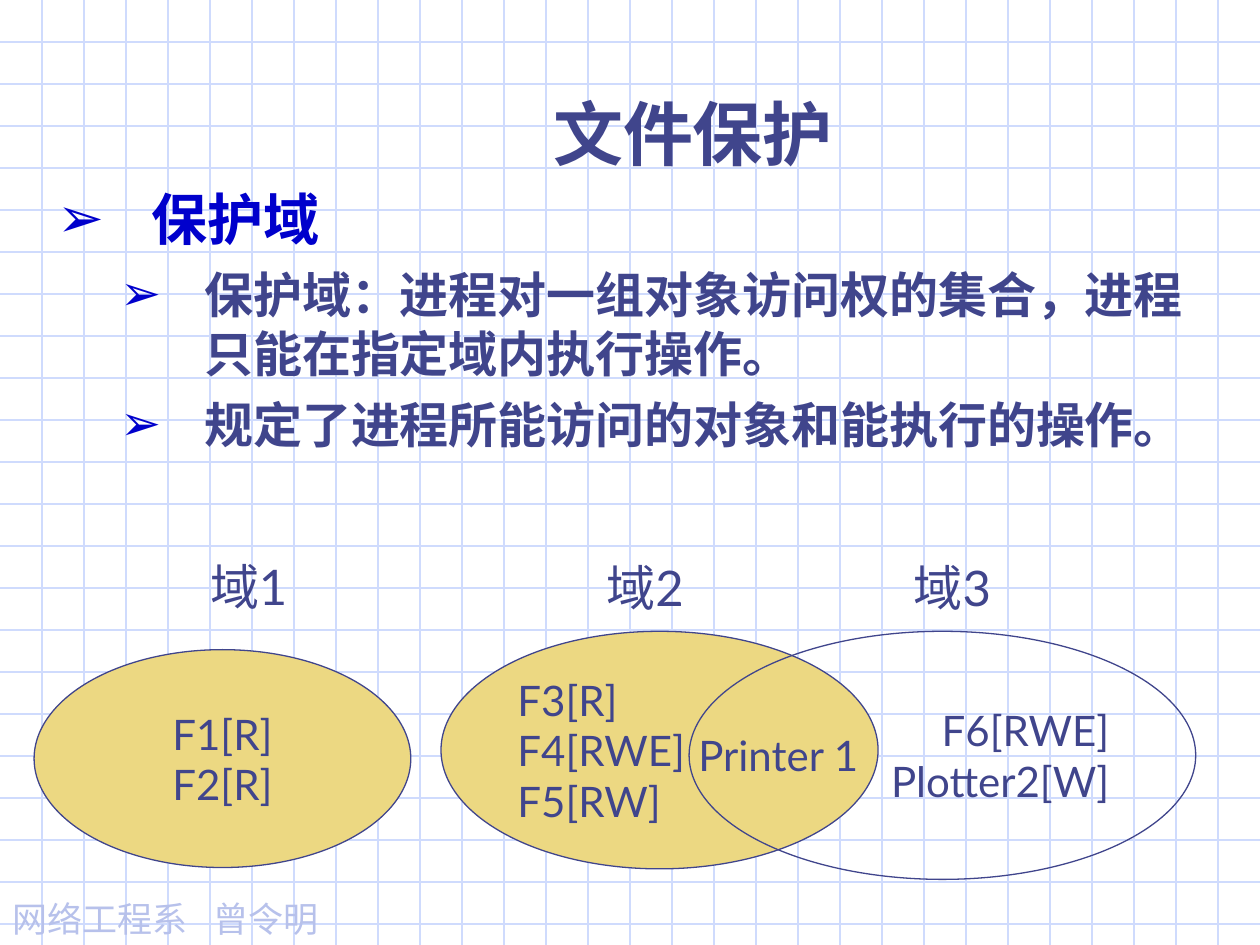
from dataclasses import dataclass

from lxml.etree import SubElement
from pptx import Presentation
from pptx.dml.color import RGBColor
from pptx.enum.shapes import MSO_CONNECTOR, MSO_SHAPE
from pptx.enum.text import MSO_ANCHOR, MSO_AUTO_SIZE, PP_ALIGN
from pptx.oxml.ns import qn
from pptx.util import Emu, Pt

EMU_PER_PX = 9525
WIDTH, HEIGHT, GRID_STEP = 960, 720, 32
INK, BLUE, SAND, GRID, PALE = "40458C", "0000CC", "ECD882", "CFDBFD", "B7C1EB"
LATIN, CJK, SERIF = "Lato", "Noto Sans CJK JP", "Times New Roman"


@dataclass(frozen=True)
class Box:
    left: int
    top: int
    width: int
    height: int


@dataclass(frozen=True)
class Domain:
    box: Box
    lines: tuple[str, ...]
    align: PP_ALIGN
    fill: str | None = None
    outline: str | None = INK


@dataclass(frozen=True)
class Label:
    text: str
    left: int
    top: int


@dataclass(frozen=True)
class Point:
    text: str
    level: int
    indent: int
    hanging: int
    size: int
    font: str
    color: str
    space_before: int


DOMAINS = (
    Domain(Box(26, 495, 287, 166), ("F1[R]", "F2[R]"), PP_ALIGN.CENTER, SAND),
    Domain(Box(336, 481, 333, 181), ("F3[R]", "F4[RWE]", "F5[RW]"), PP_ALIGN.LEFT, SAND),
    Domain(Box(525, 481, 386, 189), ("F6[RWE]", "Plotter2[W]"), PP_ALIGN.RIGHT),
    Domain(Box(510, 541, 166, 68), ("Printer 1",), PP_ALIGN.CENTER, outline=None),
)
LABELS = (Label("域2", 427, 420), Label("域1", 125, 419), Label("域3", 661, 420))
POINTS = (
    Point("保护域", 0, 72, 72, 32, SERIF, BLUE, 0),
    Point("保护域：进程对一组对象访问权的集合，进程只能在指定域内执行操作。",
          1, 112, 64, 28, LATIN, INK, 7),
    Point("规定了进程所能访问的对象和能执行的操作。", 1, 112, 64, 28, LATIN, INK, 7),
)


def px(length: int) -> Emu:
    return Emu(length * EMU_PER_PX)


def rgb(color: str) -> RGBColor:
    return RGBColor.from_string(color)


def place(shape, box: Box) -> None:
    shape.left, shape.top = px(box.left), px(box.top)
    shape.width, shape.height = px(box.width), px(box.height)


def write(paragraph, text: str, *, size: int, font: str = LATIN, color: str = INK,
          bold: bool = False, align: PP_ALIGN = PP_ALIGN.LEFT, space_before: int = 0) -> None:
    paragraph.alignment = align
    paragraph.space_before = Pt(space_before)
    run = paragraph.add_run()
    run.text = text
    run.font.size, run.font.bold, run.font.name = Pt(size), bold, font
    run.font.color.rgb = rgb(color)
    SubElement(run._r.get_or_add_rPr(), qn("a:ea"), typeface=LATIN)


def set_frame(frame, anchor: MSO_ANCHOR = MSO_ANCHOR.TOP, wrap: bool = True) -> None:
    frame.auto_size = MSO_AUTO_SIZE.NONE
    frame.word_wrap = wrap
    frame.vertical_anchor = anchor


def add_grid_line(slide, x1: int, y1: int, x2: int, y2: int) -> None:
    """Draw a grid line behind everything else on the slide."""
    line = slide.shapes.add_connector(MSO_CONNECTOR.STRAIGHT, px(x1), px(y1), px(x2), px(y2))
    line.line.color.rgb = rgb(GRID)
    line.line.width = Pt(0.75)
    SubElement(line.element.spPr, qn("a:effectLst"))
    line.element.getparent().insert(2, line.element)


def add_text_box(slide, box: Box):
    text_box = slide.shapes.add_textbox(0, 0, 0, 0)
    place(text_box, box)
    set_frame(text_box.text_frame)
    return text_box.text_frame.paragraphs[0]


def add_domain(slide, domain: Domain) -> None:
    ellipse = slide.shapes.add_shape(MSO_SHAPE.OVAL, 0, 0, 0, 0)
    place(ellipse, domain.box)
    ellipse.shadow.inherit = False
    if domain.fill:
        ellipse.fill.solid()
        ellipse.fill.fore_color.rgb = rgb(domain.fill)
    else:
        ellipse.fill.background()
    if domain.outline:
        ellipse.line.color.rgb = rgb(domain.outline)
        ellipse.line.width = Pt(0.75)
    else:
        ellipse.line.fill.background()
    frame = ellipse.text_frame
    set_frame(frame, MSO_ANCHOR.MIDDLE, wrap=False)
    for number, text in enumerate(domain.lines):
        paragraph = frame.add_paragraph() if number else frame.paragraphs[0]
        write(paragraph, text, size=24, align=domain.align)


def add_bullet(paragraph, point: Point) -> None:
    paragraph.level = point.level
    properties = paragraph._p.get_or_add_pPr()
    properties.set("marL", str(px(point.indent)))
    properties.set("indent", str(-px(point.hanging)))
    bullet_color = SubElement(properties, qn("a:buClr"))
    SubElement(bullet_color, qn("a:srgbClr"), val=BLUE)
    SubElement(properties, qn("a:buChar"), char="➢")
    write(paragraph, point.text, size=point.size, font=point.font, color=point.color,
          bold=True, space_before=point.space_before)


def add_footer(slide) -> None:
    paragraph = add_text_box(slide, Box(0, 679, 256, 42))
    tabs = SubElement(paragraph._p.get_or_add_pPr(), qn("a:tabLst"))
    SubElement(tabs, qn("a:tab"), pos=str(px(153)), algn="l")
    write(paragraph, "网络工程系\t曾令明", size=20, font=CJK, color=PALE)


def main() -> None:
    presentation = Presentation()
    presentation.slide_width, presentation.slide_height = px(WIDTH), px(HEIGHT)
    slide = presentation.slides.add_slide(presentation.slide_layouts[1])
    for y in range(GRID_STEP, HEIGHT, GRID_STEP):
        add_grid_line(slide, 0, y, WIDTH, y)
    for x in range(GRID_STEP, WIDTH, GRID_STEP):
        add_grid_line(slide, x, 0, x, HEIGHT)
    add_footer(slide)

    title, body = slide.shapes.title, slide.placeholders[1]
    place(title, Box(136, 64, 784, 74))
    set_frame(title.text_frame)
    write(title.text_frame.paragraphs[0], "文件保护", size=40, font=CJK, bold=True,
          align=PP_ALIGN.CENTER)
    place(body, Box(34, 136, 886, 217))
    set_frame(body.text_frame)
    for number, point in enumerate(POINTS):
        add_bullet(body.text_frame.add_paragraph() if number
                   else body.text_frame.paragraphs[0], point)

    for domain in DOMAINS:
        add_domain(slide, domain)
    for label in LABELS:
        write(add_text_box(slide, Box(label.left, label.top, 129, 55)), label.text,
              size=28, align=PP_ALIGN.CENTER)
    presentation.save("out.pptx")


if __name__ == "__main__":
    main()
